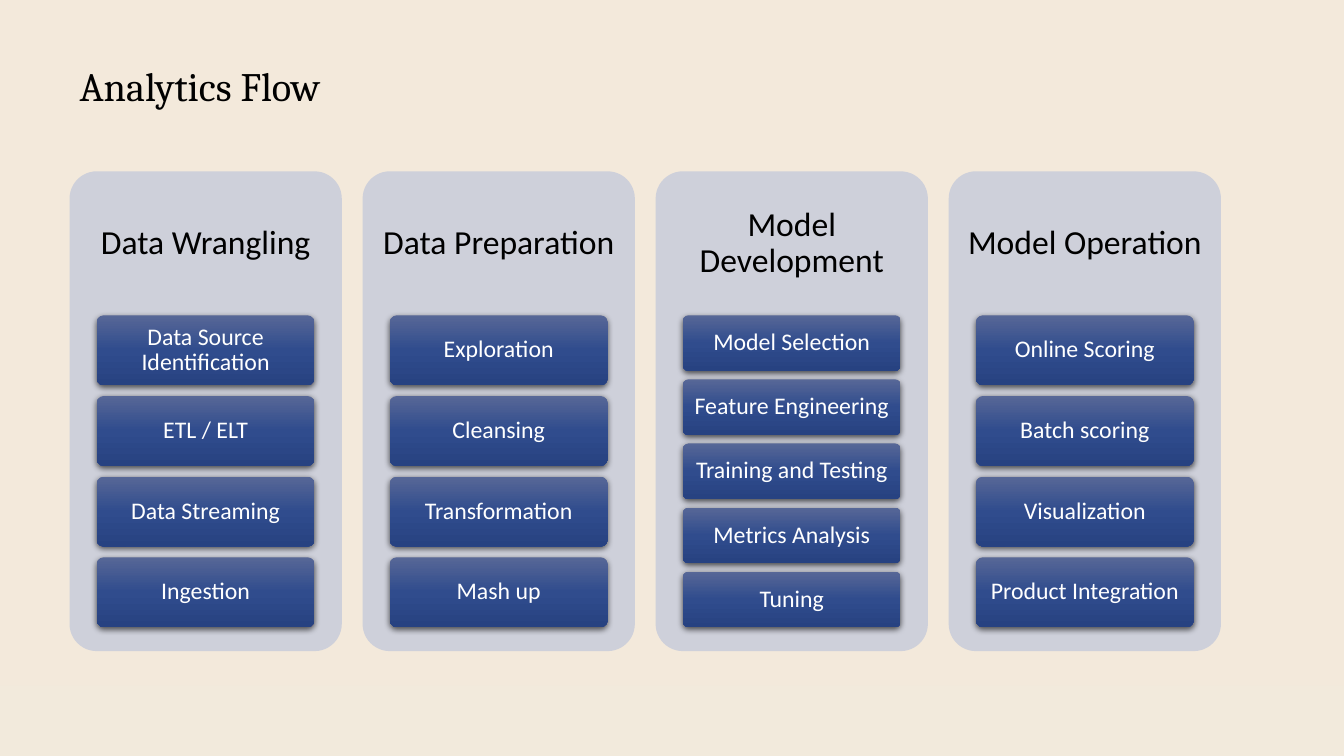
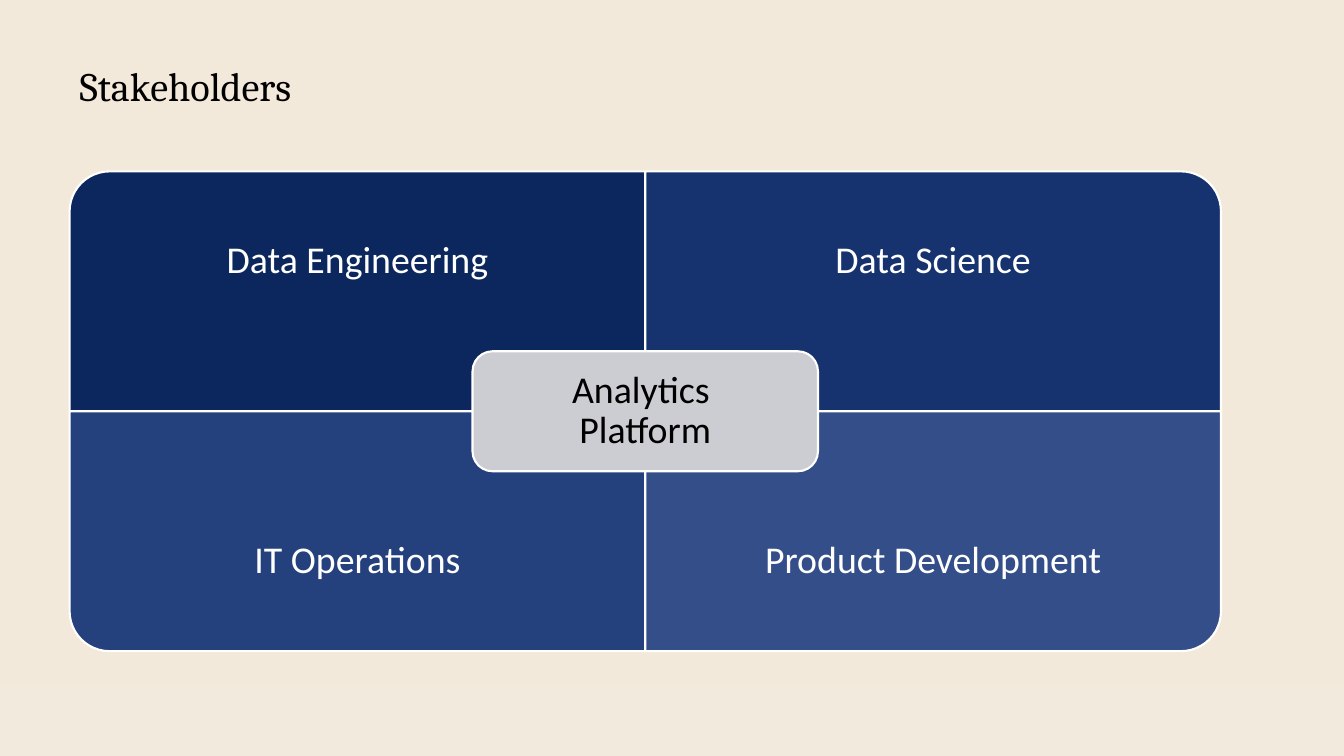
from copy import deepcopy

from lxml.etree import SubElement
from pptx import Presentation
from pptx.dml.color import RGBColor
from pptx.enum.shapes import MSO_SHAPE
from pptx.enum.text import MSO_ANCHOR, PP_ALIGN
from pptx.oxml.ns import qn
from pptx.util import Inches, Pt

RECT = MSO_SHAPE.RECTANGLE
ROUND = MSO_SHAPE.ROUNDED_RECTANGLE
CORNER = MSO_SHAPE.ROUND_1_RECTANGLE
MIDDLE = MSO_ANCHOR.MIDDLE
LEFT, CENTER = PP_ALIGN.LEFT, PP_ALIGN.CENTER

BLACK = RGBColor(0x00, 0x00, 0x00)
WHITE = RGBColor(0xFF, 0xFF, 0xFF)
SAND = RGBColor(0xF3, 0xE9, 0xDB)
BAND = RGBColor(0xF2, 0xEA, 0xDC)
PANEL = RGBColor(0xCE, 0xD0, 0xDA)
HUB = RGBColor(0xCC, 0xCD, 0xD2)
STEP = [
    (0, RGBColor(0x57, 0x67, 0x97)),
    (0.5, RGBColor(0x30, 0x4C, 0x8D)),
    (1, RGBColor(0x27, 0x42, 0x81)),
]

HEAD, BODY = "Cambria", "Calibri"
WIDE, HIGH = 13.33, 7.5

# Content area shared by both slides
X, Y, W, H = 0.69, 1.7, 11.42, 4.76

FLOW = [
    ("Data Wrangling",
     ["Data Source Identification", "ETL / ELT", "Data Streaming", "Ingestion"]),
    ("Data Preparation",
     ["Exploration", "Cleansing", "Transformation", "Mash up"]),
    ("Model Development",
     ["Model Selection", "Feature Engineering", "Training and Testing",
      "Metrics Analysis", "Tuning"]),
    ("Model Operation",
     ["Online Scoring", "Batch scoring", "Visualization", "Product Integration"]),
]

# Name, column, row, rotation, colour
TEAMS = [
    ("Data Engineering", 0, 0, 270, RGBColor(0x0C, 0x27, 0x5D)),
    ("Data Science", 1, 0, 0, RGBColor(0x16, 0x33, 0x6F)),
    ("IT Operations", 0, 1, 180, RGBColor(0x24, 0x40, 0x7D)),
    ("Product Development", 1, 1, 90, RGBColor(0x34, 0x4E, 0x89)),
]


def add_box(slide, kind, x, y, w, h, fill=None, line=None):
    """Add a shape without shadow, or a text box when kind is None."""
    area = [Inches(v) for v in (x, y, w, h)]
    if kind is None:
        return slide.shapes.add_textbox(*area)
    box = slide.shapes.add_shape(kind, *area)
    box.shadow.inherit = False
    if fill is not None:
        box.fill.solid()
        box.fill.fore_color.rgb = fill
    if line is None:
        box.line.fill.background()
    else:
        box.line.color.rgb = line
        box.line.width = Pt(1.5)
    return box


def write(box, text, size, color, pad, font=BODY, align=CENTER):
    """Fill a box with one paragraph; pad is (side, top) inset in inches."""
    frame = box.text_frame
    frame.word_wrap = True
    frame.vertical_anchor = MIDDLE
    frame.margin_left = frame.margin_right = Inches(pad[0])
    frame.margin_top = frame.margin_bottom = Inches(pad[1])
    para = frame.paragraphs[0]
    para.alignment = align
    para.line_spacing = 0.9
    for i, part in enumerate(text.split("\n")):
        if i:
            para.add_line_break()
        run = para.add_run()
        run.text = part
        run.font.name = font
        run.font.size = Pt(size)
        run.font.color.rgb = color


deck = Presentation()
deck.slide_width, deck.slide_height = Inches(WIDE), Inches(HIGH)
back = deck.slide_master.background.fill
back.solid()
back.fore_color.rgb = SAND

slides = []
for title in ("Analytics Flow", "Stakeholders"):
    slide = deck.slides.add_slide(deck.slide_layouts[6])
    add_box(slide, RECT, 0, HIGH - 0.7, WIDE, 0.7, BAND)
    write(add_box(slide, None, X, 0.59, W, 0.57), title, 28.8, BLACK,
          (0.1, 0.05), HEAD, LEFT)
    slides.append(slide)
flow, stake = slides

# Analytics flow: four panels, each with a stack of steps
wide = 2.7
pitch = (W - wide) / (len(FLOW) - 1)
top, stack = Y + 0.3 * H, 0.65 * H
for col, (name, steps) in enumerate(FLOW):
    x = X + col * pitch
    panel = add_box(flow, ROUND, x, Y, wide, H, PANEL)
    panel.adjustments[0] = 0.1
    write(add_box(flow, None, x, Y, wide, 0.3 * H), name, 24, BLACK, (0.1, 0.1))

    # The gap is 2/13 of a step's height
    count = len(steps)
    high = stack / (count + (count - 1) * 2 / 13)
    for row, step in enumerate(steps):
        y = top + row * high * 15 / 13
        pill = add_box(flow, ROUND, x + 0.1 * wide, y, 0.8 * wide, high)
        pill.adjustments[0] = 0.1
        pill.fill.gradient()
        pill.fill.gradient_angle = 270
        stops = pill.element.spPr.find(".//" + qn("a:gsLst"))
        stops.insert(1, deepcopy(stops[0]))
        for stop, (place, color) in zip(pill.fill.gradient_stops, STEP):
            stop.position = place
            stop.color.rgb = color
        shade = SubElement(
            pill.element.spPr.find(qn("a:effectLst")), qn("a:outerShdw"),
            blurRad=str(Pt(4.5)), dist=str(Pt(1.5)), dir="5400000",
            algn="ctr", rotWithShape="0")
        tint = SubElement(shade, qn("a:srgbClr"), val=str(BLACK))
        SubElement(tint, qn("a:alpha"), val="63000")
        write(pill, step, 17, WHITE, (0.05, 0.04))

# Stakeholders: two by two quarters around a hub
w, h = W / 2, H / 2
for name, col, row, turn, color in TEAMS:
    x, y = X + col * w, Y + row * h
    # A quarter turn swaps width and height about the same centre
    bw, bh = (h, w) if turn % 180 else (w, h)
    part = add_box(stake, CORNER, x + (w - bw) / 2, y + (h - bh) / 2,
                   bw, bh, color, WHITE)
    part.rotation = turn
    label = add_box(stake, None, x, y + row * h / 4, w, 0.75 * h)
    write(label, name, 27, WHITE, (0.21, 0.21))

hub = add_box(stake, ROUND, X + 0.35 * W, Y + 0.375 * H, 0.3 * W, 0.25 * H,
              HUB, WHITE)
write(hub, "Analytics \nPlatform", 27, BLACK, (0.11, 0.11))

deck.save("out.pptx")
